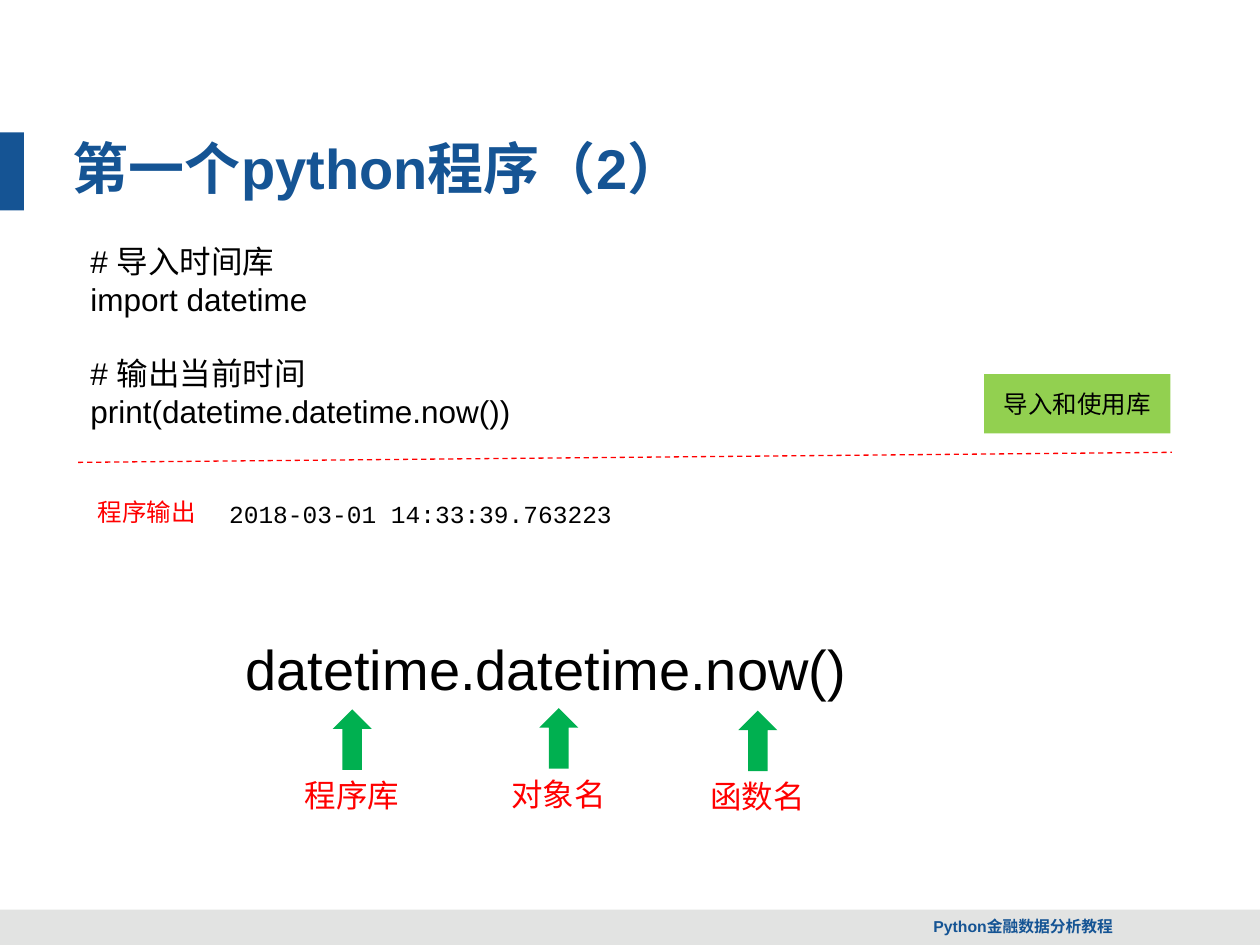
import pptx
import pptx.dml.color
import pptx.enum.dml
import pptx.enum.shapes
import pptx.enum.text
import pptx.oxml
import pptx.oxml.ns
import pptx.util

RGBColor = pptx.dml.color.RGBColor
BLUE = RGBColor(0x15, 0x54, 0x94)
GREY = RGBColor(0xE2, 0xE3, 0xE2)
RED = RGBColor(0xFF, 0x00, 0x00)
LIME = RGBColor(0x92, 0xD0, 0x50)
GREEN = RGBColor(0x00, 0xB0, 0x50)
BLACK = RGBColor(0x00, 0x00, 0x00)

KIND = pptx.enum.shapes.MSO_SHAPE
ALIGN = pptx.enum.text.PP_ALIGN
ANCHOR = pptx.enum.text.MSO_ANCHOR

deck = pptx.Presentation()
deck.slide_width = pptx.util.Inches(10)
deck.slide_height = pptx.util.Inches(7.5)
page = deck.slides.add_slide(deck.slide_layouts[6])

# Grid of 100 columns by 75 rows
COLUMN = deck.slide_width / 100
ROW = deck.slide_height / 75


def add_block(parent, kind, left, top, width, height, fill):
    block = parent.shapes.add_shape(kind, int(left * COLUMN), int(top * ROW),
                                    int(width * COLUMN), int(height * ROW))
    block.shadow.inherit = False
    block.fill.solid()
    block.fill.fore_color.rgb = fill
    block.line.fill.background()
    return block


def write(text, parent=page, at=None, box=None, size=18, font="Arial", color=BLACK,
          bold=False, align=ALIGN.LEFT, anchor=ANCHOR.TOP, wrap=True, gap=0):
    """Write lines into a box, or a new text box; gap parts its sections."""
    if box is None:
        left, top, width, height = at
        box = parent.shapes.add_textbox(int(left * COLUMN), int(top * ROW),
                                        int(width * COLUMN), int(height * ROW))
    frame = box.text_frame
    frame.word_wrap = wrap
    frame.vertical_anchor = anchor
    for number, line in enumerate(text.split("\n")):
        para = frame.add_paragraph() if number else frame.paragraphs[0]
        para.alignment = align
        if number and line.startswith("#"):
            para.space_before = pptx.util.Pt(gap)
        span = para.add_run()
        span.text = line
        span.font.size = pptx.util.Pt(size)
        span.font.name = font
        span.font.bold = bold
        span.font.color.rgb = color


# Footer band, title marker and their text
add_block(page, KIND.RECTANGLE, 0, 72.2, 100, 2.8, GREY)
add_block(page, KIND.RECTANGLE, 0, 10.5, 1.9, 6.2, BLUE)
write("第一个python程序（2）", at=(4.8, 10.2, 92.9, 6.2), size=32, color=BLUE,
      bold=True, anchor=ANCHOR.MIDDLE)
write("Python金融数据分析教程", at=(71, 72.2, 18.3, 2.7), size=9, color=BLUE,
      bold=True, align=ALIGN.RIGHT, anchor=ANCHOR.MIDDLE)

# Program
write("# 导入时间库\nimport datetime\n# 输出当前时间\nprint(datetime.datetime.now())",
      at=(6.2, 18.7, 50, 16.2), gap=21)

# Dashed divider
divider = page.shapes.add_connector(
    pptx.enum.shapes.MSO_CONNECTOR.STRAIGHT,
    int(6.2 * COLUMN), int(36.7 * ROW), int(93 * COLUMN), int(35.9 * ROW))
divider.line.color.rgb = RED
divider.line.width = pptx.util.Pt(0.75)
divider.line.dash_style = pptx.enum.dml.MSO_LINE.DASH
divider._element.spPr.append(pptx.oxml.parse_xml(
    "<a:effectLst %s/>" % pptx.oxml.ns.nsdecls("a")))

# Topic tag
tag = add_block(page, KIND.RECTANGLE, 78.1, 29.7, 14.8, 4.7, LIME)
write("导入和使用库", box=tag, size=14, align=ALIGN.CENTER, anchor=ANCHOR.MIDDLE)

# Program output
write("2018-03-01 14:33:39.763223", at=(17.2, 39.1, 33.1, 3.4), size=14,
      font="Courier New", wrap=False)
write("程序输出", at=(6.2, 38.3, 10.9, 4.7), size=14, color=RED,
      align=ALIGN.CENTER, anchor=ANCHOR.MIDDLE)

# Call with an arrow and label under each part
write("datetime.datetime.now()", at=(18.5, 49.9, 57.8, 6.4), size=32)
for label, left, top in (("程序库", 23.2, 56.3), ("对象名", 39.6, 56.2),
                         ("函数名", 55.4, 56.4)):
    part = page.shapes.add_group_shape()
    write(label, parent=part, at=(left, top + 4.8, 9.6, 4), color=RED, wrap=False)
    add_block(part, KIND.UP_ARROW, left + 3.2, top, 3.1, 4.8, GREEN)

deck.save("out.pptx")
